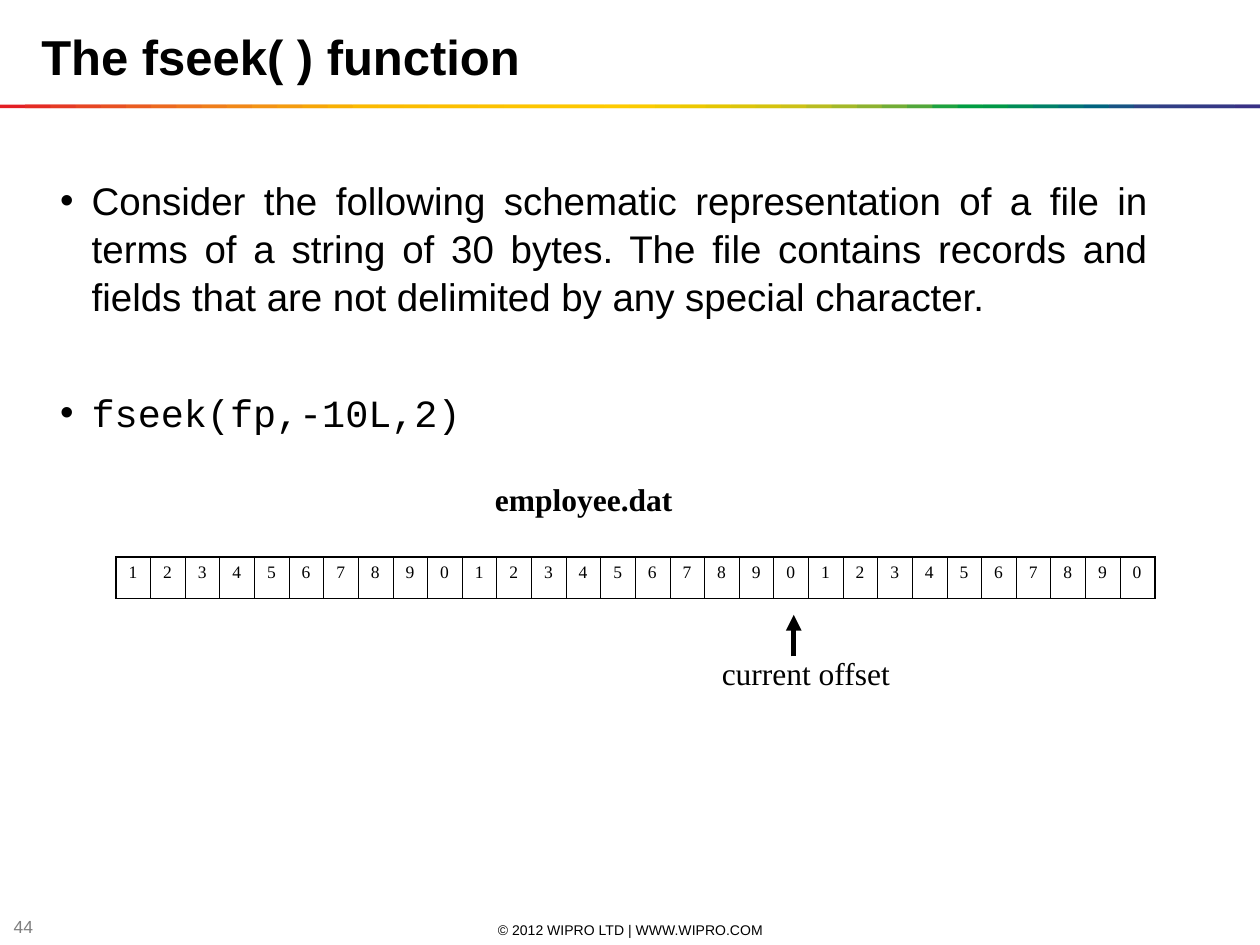
from lxml.etree import SubElement
from pptx import Presentation
from pptx.dml.color import RGBColor
from pptx.enum.shapes import MSO_CONNECTOR, MSO_SHAPE
from pptx.enum.text import MSO_ANCHOR as ANCHOR, PP_ALIGN as ALIGN
from pptx.oxml.ns import qn
from pptx.util import Inches, Pt

COLORS = {"text": "000000", "number": "7F7F7F"}
RAINBOW = """
E31E24 E42C24 E53A24 E74623 E85122 EA5D21 EC691F EE741D EF7E1A F18817
F39314 F49C0F F6A607 F8B002 FBBA00 FBBB00 FBBD00 FCBF00 FCC000 FCC200
FDC400 FDC600 FDC700 FEC900 FECB00 FBCB00 F3CA00 ECC800 E4C602 DCC50A
D5C30E CCC117 B8BC21 A3B829 8CB230 71AD36 51A73B 1DA240 009D43 009846
008C57 008068 007275 00637F 185384 2E4285 313E85 333B85 353885 393185
""".split()
SERIF = "Times New Roman"
BYTES = [str(n % 10) for n in range(1, 31)]


def rgb(name):
    return RGBColor.from_string(COLORS[name])


def write(para, text, size, font="Arial", color="text", bold=False,
          align=ALIGN.LEFT, before=0, line=None, bullet=False):
    para.alignment = align
    if bullet:
        props = para._p.get_or_add_pPr()
        props.set("marL", str(Inches(0.25)))
        props.set("indent", str(-Inches(0.25)))
        SubElement(SubElement(props, qn("a:buClr")), qn("a:srgbClr"), val=COLORS[color])
        SubElement(props, qn("a:buFont"), typeface="Arial")
        SubElement(props, qn("a:buChar"), char="•")
    if before:
        para.space_before = Pt(before)
    if line:
        para.line_spacing = line
    span = para.add_run()
    span.text = text
    span.font.size = Pt(size)
    span.font.name = font
    span.font.bold = bold
    span.font.color.rgb = rgb(color)


def add_box(page, left, top, width, height, anchor=ANCHOR.TOP):
    """Add an empty wrapping text box and return its text frame."""
    box = page.shapes.add_textbox(Inches(left), Inches(top), Inches(width), Inches(height))
    frame = box.text_frame
    frame.word_wrap = True
    frame.vertical_anchor = anchor
    return frame


def add_label(page, left, top, width, height, text, size, anchor=ANCHOR.TOP, **style):
    frame = add_box(page, left, top, width, height, anchor)
    write(frame.paragraphs[0], text, size, **style)


def add_rainbow(page, left, top, width, height):
    """Overlapping bars, each two steps wide, that end at the right edge."""
    step = width / len(RAINBOW)
    for i, color in enumerate(RAINBOW):
        bar_width = min(2 * step, width - i * step)
        bar = page.shapes.add_shape(MSO_SHAPE.RECTANGLE, Inches(left + i * step),
                                    Inches(top), Inches(bar_width), Inches(height))
        bar.shadow.inherit = False
        bar.fill.solid()
        bar.fill.fore_color.rgb = RGBColor.from_string(color)
        bar.line.fill.background()


def add_body(page, left, top, width, height):
    frame = add_box(page, left, top, width, height)
    write(frame.paragraphs[0],
          "Consider the following schematic representation of a file in terms of "
          "a string of 30 bytes. The file contains records and fields that are not "
          "delimited by any special character.",
          22, align=ALIGN.JUSTIFY, line=1.04, bullet=True)
    write(frame.add_paragraph(), "fseek(fp,-10L,2)", 22, font="Courier New",
          align=ALIGN.JUSTIFY, before=39, line=1.04, bullet=True)


def set_border(cell, side, points):
    props = cell._tc.get_or_add_tcPr()
    line = SubElement(props, qn(f"a:ln{side}"), w=str(Pt(points)))
    SubElement(SubElement(line, qn("a:solidFill")), qn("a:srgbClr"), val=COLORS["text"])


def add_byte_table(page, left, top, width, height):
    table = page.shapes.add_table(1, len(BYTES), Inches(left), Inches(top),
                                  Inches(width), Inches(height)).table
    table.first_row = table.horz_banding = False
    last = len(BYTES) - 1
    for i, digit in enumerate(BYTES):
        table.columns[i].width = Inches(width / len(BYTES))
        cell = table.cell(0, i)
        write(cell.text_frame.paragraphs[0], digit, 10, font=SERIF)
        set_border(cell, "L", 1.08 if i == 0 else 0.45)
        set_border(cell, "R", 1.08 if i == last else 0.45)
        set_border(cell, "T", 1.08)
        set_border(cell, "B", 1.08)
        cell.fill.background()


def add_up_arrow(page, x, bottom, top):
    arrow = page.shapes.add_connector(MSO_CONNECTOR.STRAIGHT, Inches(x), Inches(bottom),
                                      Inches(x), Inches(top))
    arrow.line.width = Pt(3)
    arrow.line.color.rgb = rgb("text")
    SubElement(arrow.line._get_or_add_ln(), qn("a:tailEnd"), type="triangle")
    SubElement(arrow._element.spPr, qn("a:effectLst"))


def add_file_diagram(page, left, top, width):
    add_byte_table(page, left, top, width, 0.33)
    add_up_arrow(page, left + 5.38, top + 0.79, top + 0.46)
    add_label(page, left + 4.71, top + 0.72, 1.75, 0.4, "current offset", 18, font=SERIF)
    add_label(page, left + 2.91, top - 0.66, 1.75, 0.4, "employee.dat", 18,
              font=SERIF, bold=True)


def add_footer(page, top, height):
    add_label(page, 3.42, top, 3.17, height, "© 2012 WIPRO LTD | WWW.WIPRO.COM", 8,
              anchor=ANCHOR.MIDDLE, align=ALIGN.CENTER)
    add_label(page, 0.01, top - 0.03, 0.39, height, "44", 10,
              anchor=ANCHOR.MIDDLE, color="number")


def main():
    deck = Presentation()
    deck.slide_width, deck.slide_height = Inches(10), Inches(7.5)
    page = deck.slides.add_slide(deck.slide_layouts[6])
    add_footer(page, 7.3, 0.16)
    add_rainbow(page, 0, 0.83, 10, 0.03)
    add_label(page, 0.23, 0.16, 9.27, 0.57, "The fseek( ) function", 28,
              anchor=ANCHOR.MIDDLE, bold=True)
    add_body(page, 0.38, 1.34, 8.83, 3)
    add_file_diagram(page, 0.92, 4.42, 8.25)
    deck.save("out.pptx")


if __name__ == "__main__":
    main()
